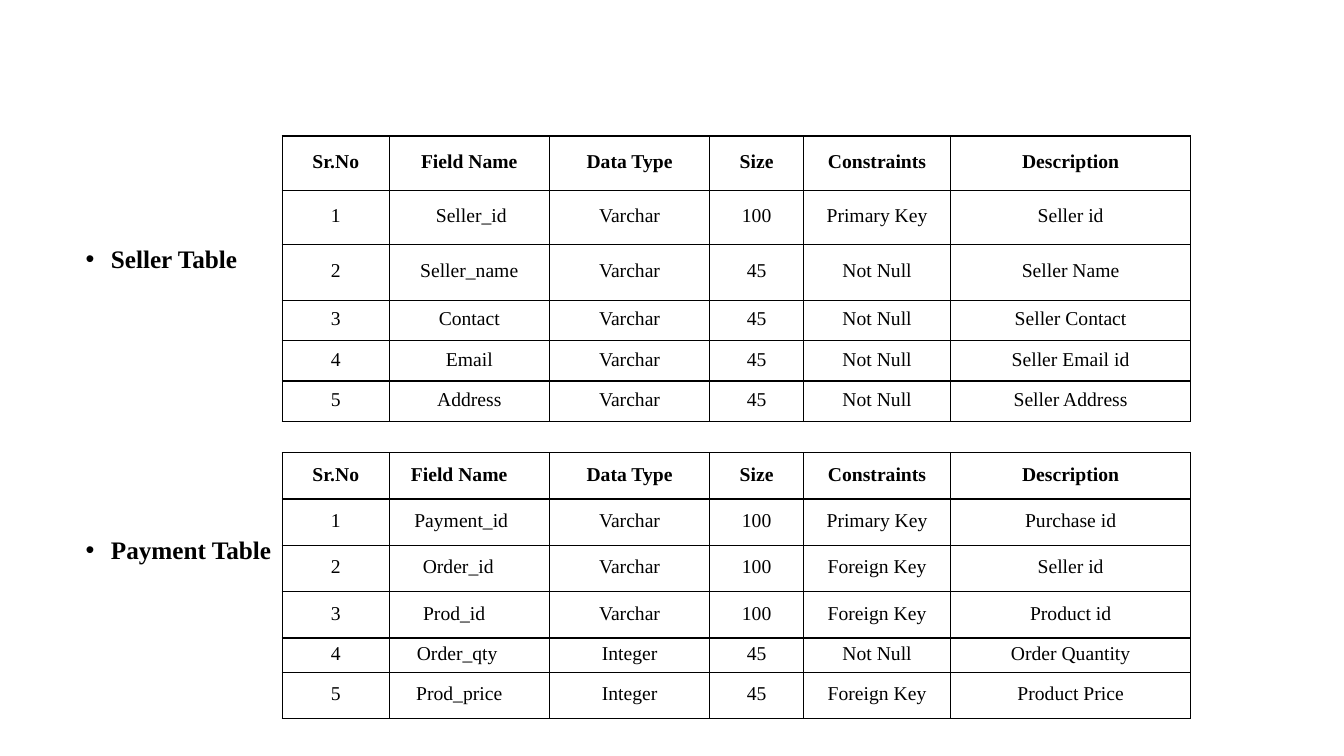
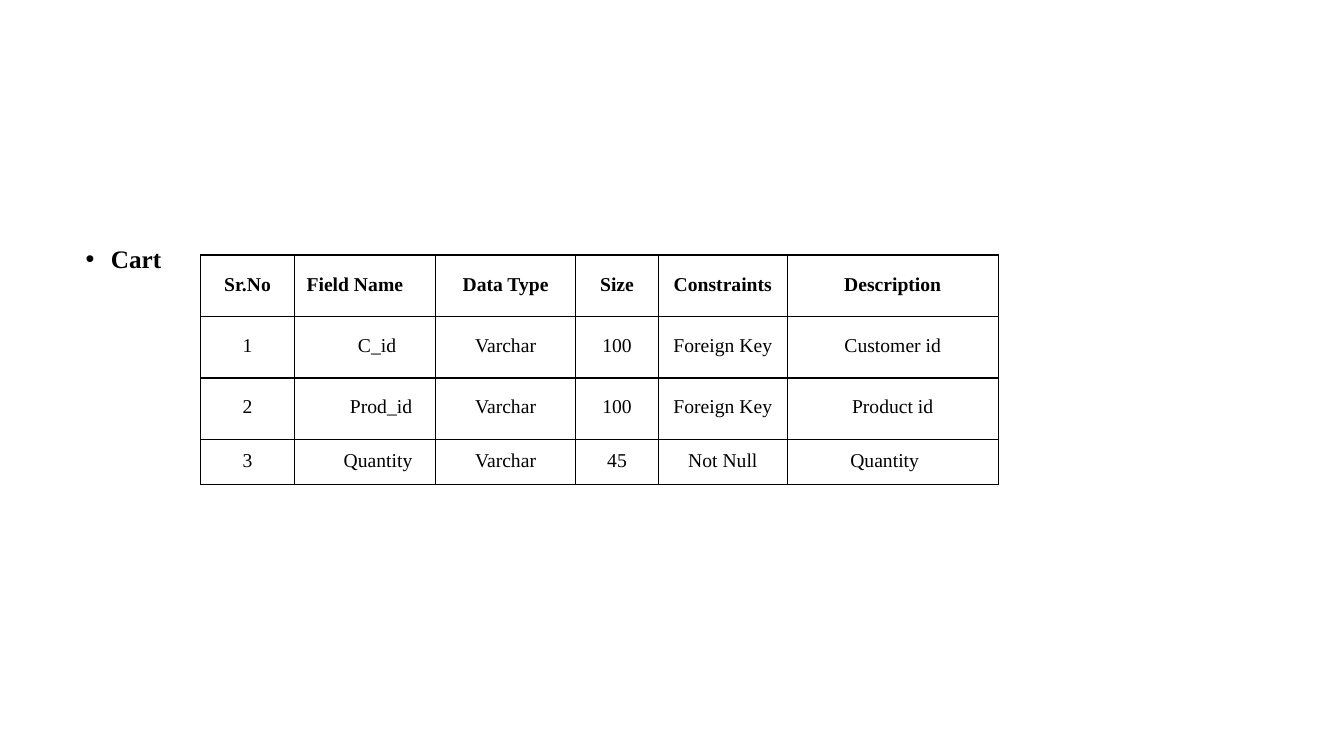
import dataclasses

import pptx
import pptx.dml.color
import pptx.enum.text
import pptx.oxml
import pptx.oxml.ns
import pptx.util

Inches = pptx.util.Inches
Pt = pptx.util.Pt
ALIGN = pptx.enum.text.PP_ALIGN


@dataclasses.dataclass(frozen=True)
class Theme:
    font: str = "Times New Roman"
    ink: str = "000000"
    label_size: int = 18
    cell_size: int = 14
    border_width: int = 1


THEME = Theme()
HEADERS = ["Sr.No", "Field Name", "Data Type", "Size", "Constraints", "Description"]
WIDE_COLS = [1.06, 1.59, 1.59, 0.93, 1.46, 2.38]
NARROW_COLS = [0.93, 1.4, 1.39, 0.82, 1.28, 2.09]

# Each table lists its rows without the serial number; "shifts" moves
# the text of a (row, column) cell off centre, in inches.
SLIDES = [
    {
        "labels": ["Seller Table", "Payment Table"],
        "tables": [
            {
                "at": (2.8, 1.35), "cols": WIDE_COLS,
                "heights": [0.54, 0.54, 0.55, 0.4, 0.4, 0.4],
                "shifts": {(1, 1): 0.02},
                "rows": [
                    ["Seller_id", "Varchar", "100", "Primary Key", "Seller id"],
                    ["Seller_name", "Varchar", "45", "Not Null", "Seller Name"],
                    ["Contact", "Varchar", "45", "Not Null", "Seller Contact"],
                    ["Email", "Varchar", "45", "Not Null", "Seller Email id"],
                    ["Address", "Varchar", "45", "Not Null", "Seller Address"],
                ],
            },
            {
                "at": (2.8, 4.49), "cols": WIDE_COLS,
                "heights": [0.46, 0.46, 0.46, 0.46, 0.34, 0.46],
                "shifts": {(0, 1): -0.1, (1, 1): -0.08, (2, 1): -0.11,
                           (3, 1): -0.15, (4, 1): -0.12, (5, 1): -0.1},
                "rows": [
                    ["Payment_id", "Varchar", "100", "Primary Key", "Purchase id"],
                    ["Order_id", "Varchar", "100", "Foreign Key", "Seller id"],
                    ["Prod_id", "Varchar", "100", "Foreign Key", "Product id"],
                    ["Order_qty", "Integer", "45", "Not Null", "Order Quantity"],
                    ["Prod_price", "Integer", "45", "Foreign Key", "Product Price"],
                ],
            },
        ],
    },
    {
        "labels": ["Cart"],
        "tables": [
            {
                "at": (1.99, 2.53), "cols": NARROW_COLS,
                "heights": [0.61, 0.61, 0.61, 0.45],
                "shifts": {(0, 1): -0.1, (1, 1): 0.12, (2, 1): 0.16,
                           (3, 1): 0.13, (3, 5): -0.08},
                "rows": [
                    ["C_id", "Varchar", "100", "Foreign Key", "Customer id"],
                    ["Prod_id", "Varchar", "100", "Foreign Key", "Product id"],
                    ["Quantity", "Varchar", "45", "Not Null", "Quantity"],
                ],
            },
        ],
    },
]


def write(p, text, *, size, bold=False, align=ALIGN.LEFT, line=0.9, before=0, after=0,
          bullet=False):
    """Fill one paragraph with formatted text."""
    if bullet:
        pPr = p._p.get_or_add_pPr()
        pPr.set("marL", str(Inches(0.25)))
        pPr.set("indent", str(-Inches(0.25)))
        for tag, key, value in (("buFont", "typeface", "Arial"), ("buChar", "char", "•")):
            pPr.append(pptx.oxml.parse_xml(
                f'<a:{tag} {pptx.oxml.ns.nsdecls("a")} {key}="{value}"/>'))
    p.alignment = align
    p.line_spacing = line
    p.space_before = Pt(before)
    p.space_after = Pt(after)
    r = p.add_run()
    r.text = text
    r.font.name = THEME.font
    r.font.size = Pt(size)
    r.font.bold = bold
    r.font.color.rgb = pptx.dml.color.RGBColor.from_string(THEME.ink)


def add_borders(cell):
    """Draw a thin line on all four sides of a cell."""
    tcPr = cell._tc.get_or_add_tcPr()
    for i, side in enumerate(("lnL", "lnR", "lnT", "lnB")):
        tcPr.insert(i, pptx.oxml.parse_xml(
            f'<a:{side} {pptx.oxml.ns.nsdecls("a")} w="{Pt(THEME.border_width)}">'
            f'<a:solidFill><a:srgbClr val="{THEME.ink}"/></a:solidFill></a:{side}>'))


prs = pptx.Presentation()
prs.slide_width = Inches(13.33)
prs.slide_height = Inches(7.5)

for content in SLIDES:
    s = prs.slides.add_slide(prs.slide_layouts[1])
    title = s.shapes.title
    title.element.getparent().remove(title.element)

    # Bulleted table names
    body = s.placeholders[1]
    body.left, body.top = Inches(0.75), Inches(2.4)
    body.width, body.height = Inches(11.83), Inches(4.4)
    tf = body.text_frame
    tf.word_wrap = True
    tf.auto_size = pptx.enum.text.MSO_AUTO_SIZE.NONE
    for i, label in enumerate(content["labels"]):
        p = tf.add_paragraph() if i else tf.paragraphs[0]
        write(p, label, size=THEME.label_size, bold=True, bullet=True,
              before=188 if i else 0)

    # Field tables
    for spec_table in content["tables"]:
        cols, heights = spec_table["cols"], spec_table["heights"]
        left, top = spec_table["at"]
        tbl = s.shapes.add_table(len(heights), len(cols), Inches(left), Inches(top),
                                 Inches(sum(cols)), Inches(sum(heights))).table
        tbl.first_row = tbl.horz_banding = False
        for column, width in zip(tbl.columns, cols):
            column.width = Inches(width)
        for row, height in zip(tbl.rows, heights):
            row.height = Inches(height)

        numbered = [[str(n), *row] for n, row in enumerate(spec_table["rows"], 1)]
        for r, row in enumerate([HEADERS, *numbered]):
            for c, text in enumerate(row):
                cell = tbl.cell(r, c)
                shift = spec_table["shifts"].get((r, c), 0)
                cell.margin_left = Inches(max(2 * shift, 0))
                cell.margin_right = Inches(max(-2 * shift, 0))
                cell.margin_top = cell.margin_bottom = 0
                cell.vertical_anchor = pptx.enum.text.MSO_ANCHOR.MIDDLE
                cell.fill.background()
                add_borders(cell)
                write(cell.text_frame.paragraphs[0], text, size=THEME.cell_size,
                      bold=r == 0, align=ALIGN.CENTER, line=Pt(13.5), after=8)

prs.save("out.pptx")
